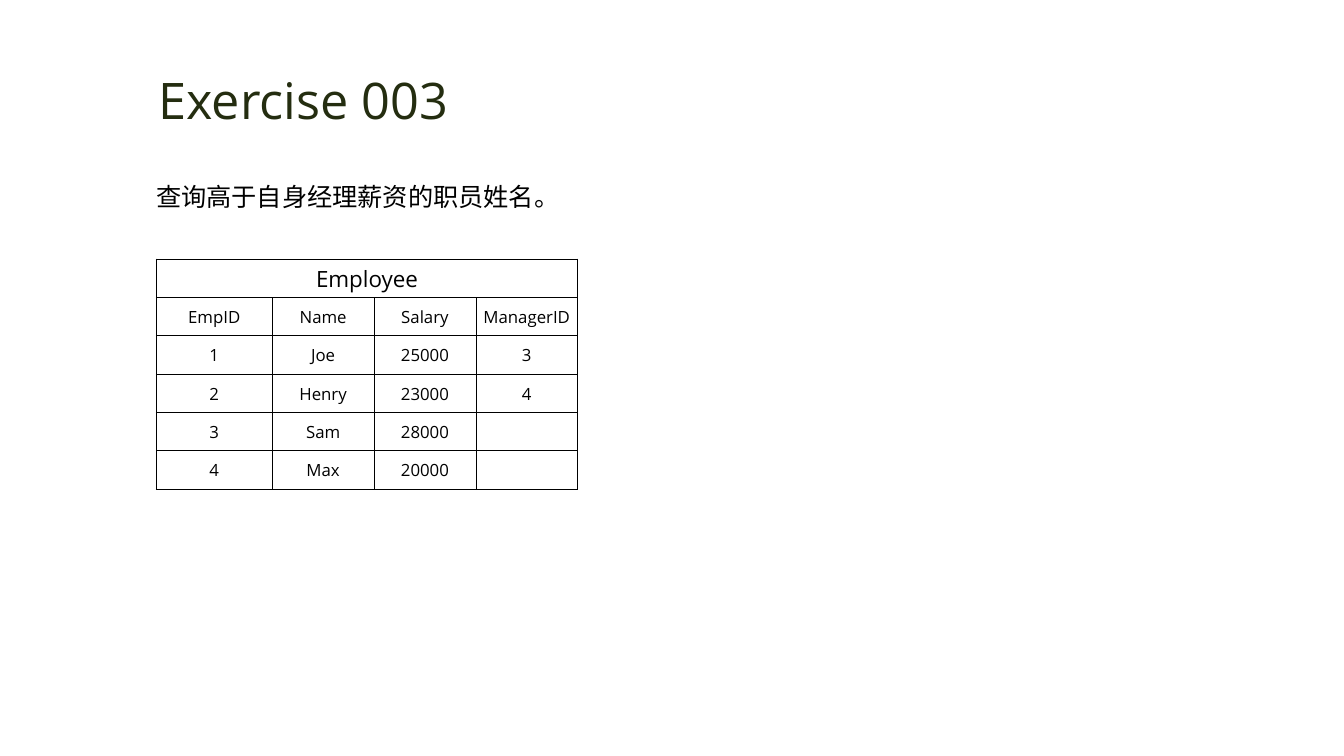
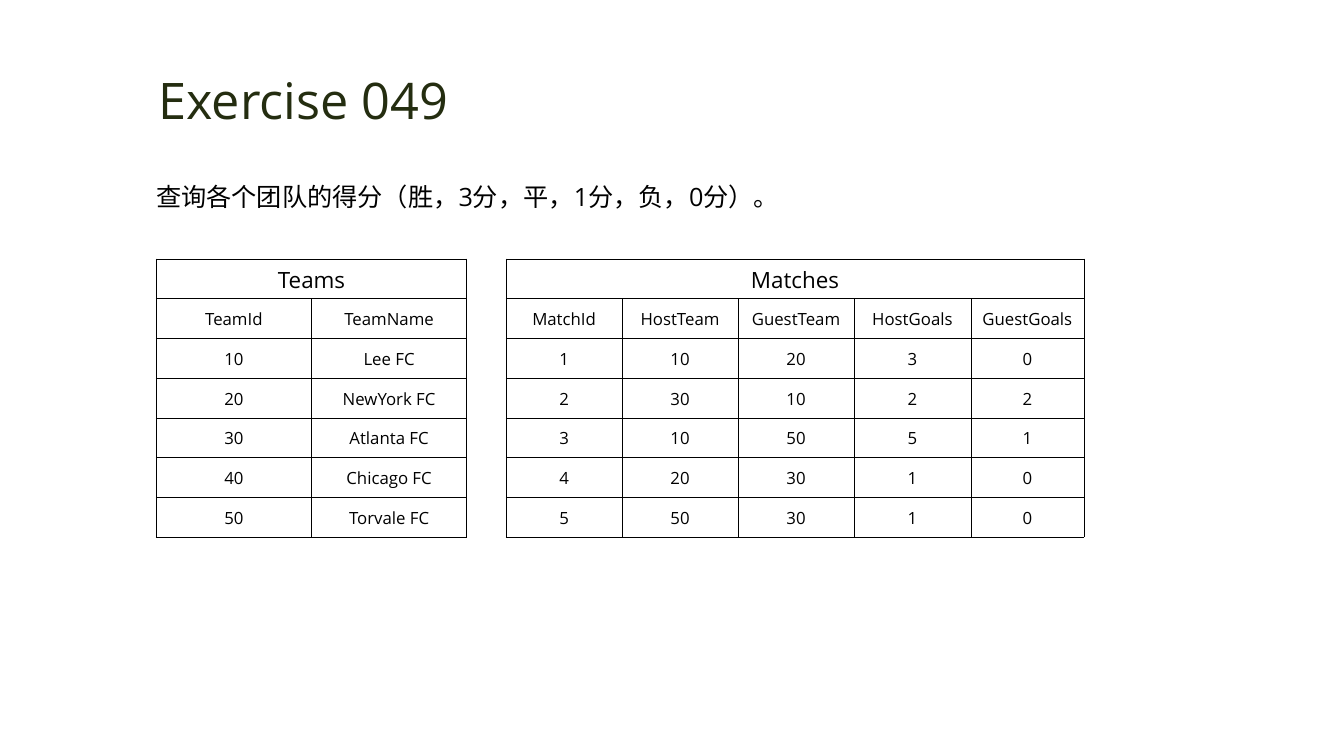
from lxml import etree
from pptx import Presentation
from pptx import util as u
from pptx.dml.color import RGBColor
from pptx.enum import text
from pptx.oxml import ns

# Shared style
PX = 9144  # EMU in one px, 100 px to the inch
FONT = "Open Sans"
COLORS = {"title": "242D10", "ink": "000000"}
LEFT, TABLE_TOP = 155, 257
BORDER = u.Pt(0.5)

# Content
EMPLOYEE = [
    ["EmpID", "Name", "Salary", "ManagerID"],
    ["1", "Joe", "25000", "3"],
    ["2", "Henry", "23000", "4"],
    ["3", "Sam", "28000", ""],
    ["4", "Max", "20000", ""],
]
TEAMS = [
    ["TeamId", "TeamName"],
    ["10", "Lee FC"],
    ["20", "NewYork FC"],
    ["30", "Atlanta FC"],
    ["40", "Chicago FC"],
    ["50", "Torvale FC"],
]
MATCHES = [
    ["MatchId", "HostTeam", "GuestTeam", "HostGoals", "GuestGoals"],
    ["1", "10", "20", "3", "0"],
    ["2", "30", "10", "2", "2"],
    ["3", "10", "50", "5", "1"],
    ["4", "20", "30", "1", "0"],
    ["5", "50", "30", "1", "0"],
]


def px(*lengths):
    return [u.Emu(length * PX) for length in lengths]


def add_run(paragraph, words, size, color="ink"):
    run = paragraph.add_run()
    run.text = words
    run.font.name = FONT
    run.font.size = u.Pt(size)
    run.font.bold = False
    run.font.color.rgb = RGBColor.from_string(COLORS[color])


def add_exercise(prs, heading, question, question_width):
    """Add a slide with its heading and question."""
    slide = prs.slides.add_slide(prs.slide_layouts[5])

    title = slide.shapes.title
    title.left, title.top, title.width, title.height = px(139, 64, 324, 71)
    frame = title.text_frame
    frame.word_wrap = False
    frame.auto_size = text.MSO_AUTO_SIZE.SHAPE_TO_FIT_TEXT
    frame.vertical_anchor = text.MSO_ANCHOR.TOP
    frame.paragraphs[0].alignment = text.PP_ALIGN.CENTER
    add_run(frame.paragraphs[0], heading, 36, "title")

    frame = slide.shapes.add_textbox(*px(145, 160, question_width, 51)).text_frame
    frame.word_wrap = True
    frame.auto_size = text.MSO_AUTO_SIZE.SHAPE_TO_FIT_TEXT
    frame.paragraphs[0].line_spacing = 1.5
    add_run(frame.paragraphs[0], question, 18)
    return slide


def add_borders(cell):
    properties = cell._tc.get_or_add_tcPr()
    for side in ("a:lnL", "a:lnR", "a:lnT", "a:lnB"):
        line = etree.SubElement(properties, ns.qn(side), w=str(BORDER))
        fill = etree.SubElement(line, ns.qn("a:solidFill"))
        etree.SubElement(fill, ns.qn("a:srgbClr"), val=COLORS["ink"])


def fill_cell(cell, words, size):
    cell.margin_left, cell.margin_right, cell.margin_top, cell.margin_bottom = px(1, 1, 1, 0)
    cell.vertical_anchor = text.MSO_ANCHOR.MIDDLE
    add_borders(cell)
    cell.fill.background()
    if words:
        paragraph = cell.text_frame.paragraphs[0]
        paragraph.alignment = text.PP_ALIGN.CENTER
        add_run(paragraph, words, size)


def add_relation(slide, name, rows, left, widths, height):
    """Add a database table: its name across the top, then fields and records."""
    columns = len(widths)
    table = slide.shapes.add_table(
        len(rows) + 1, columns, *px(left, TABLE_TOP, sum(widths), height)
    ).table
    table.first_row = table.horz_banding = False
    for column, width in zip(table.columns, px(*widths)):
        column.width = width

    name_row = [name] + [""] * (columns - 1)
    for r, row in enumerate([name_row] + rows):
        for c, words in enumerate(row):
            fill_cell(table.cell(r, c), words, 12 if r else 16)
    table.cell(0, 0).merge(table.cell(0, columns - 1))


def main():
    prs = Presentation()
    prs.slide_width, prs.slide_height = px(1333, 750)

    # Salaries above the manager's
    slide = add_exercise(prs, "Exercise 003", "查询高于自身经理薪资的职员姓名。", 523)
    add_relation(slide, "Employee", EMPLOYEE, LEFT, [115, 101, 101, 101], 228)

    # Team points
    slide = add_exercise(
        prs, "Exercise 049", "查询各个团队的得分（胜，3分，平，1分，负，0分）。", 630
    )
    add_relation(slide, "Teams", TEAMS, LEFT, [154, 154], 276)
    add_relation(slide, "Matches", MATCHES, 502, [115, 115, 115, 116, 112], 276)

    prs.save("out.pptx")


if __name__ == "__main__":
    main()
